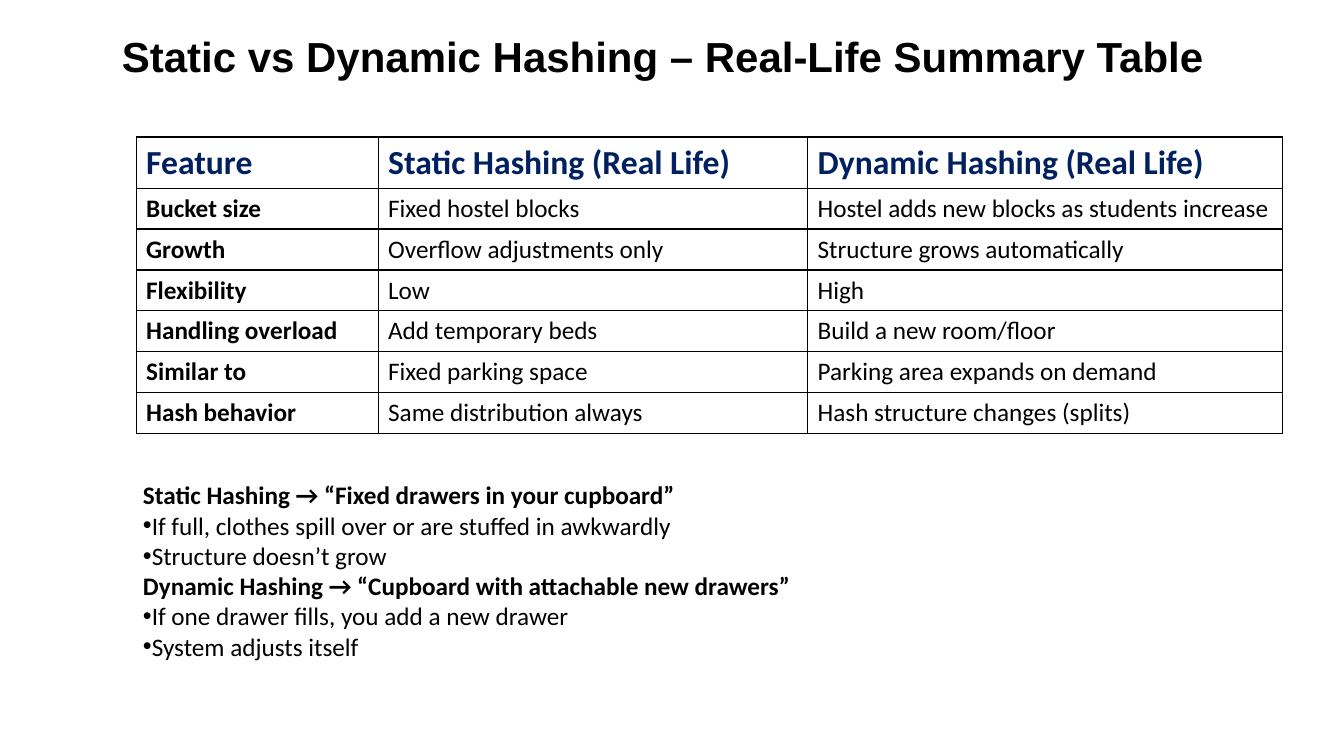
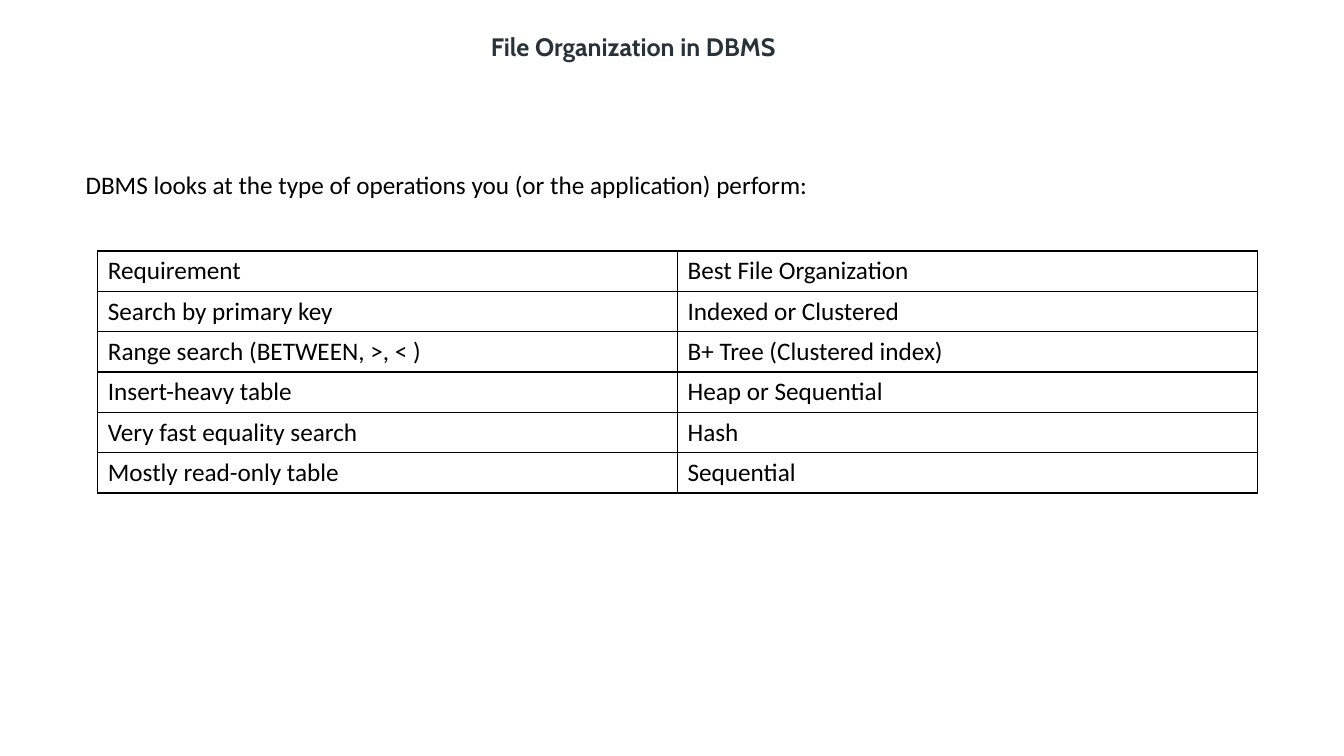
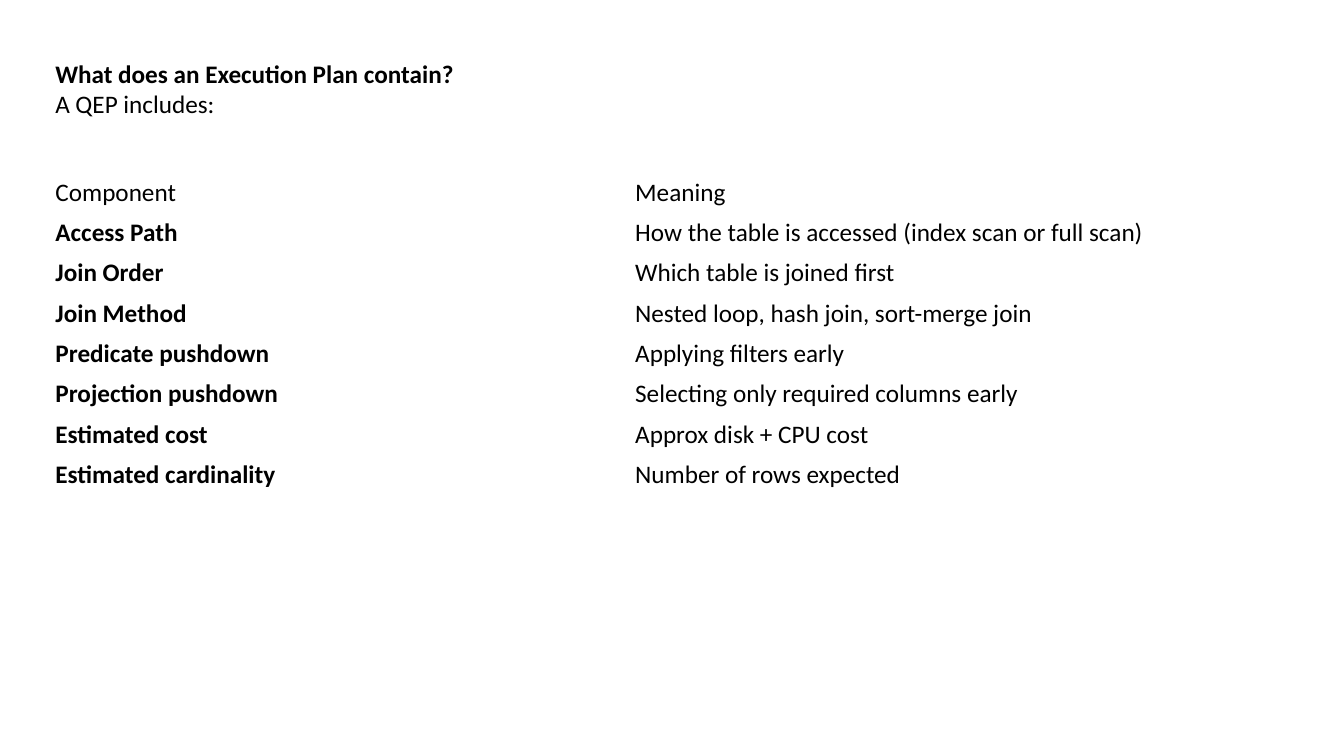
"""Build three slides on hashing, file organization and execution plans."""
from lxml import etree
from pptx import Presentation
from pptx import util as u
from pptx.dml.color import RGBColor
from pptx.enum import text as t
from pptx.oxml import ns

BLACK = RGBColor(0x00, 0x00, 0x00)
NAVY = RGBColor(0x00, 0x20, 0x60)
SLATE = RGBColor(0x27, 0x32, 0x39)


def write(frame, text, size=18, font="Calibri", color=BLACK, bold=False, bullet=False):
    paragraph = frame.paragraphs[0]
    if paragraph.runs:
        paragraph = frame.add_paragraph()
    if bullet:
        properties = paragraph._p.get_or_add_pPr()
        etree.SubElement(properties, ns.qn("a:buFont"), typeface="Arial")
        etree.SubElement(properties, ns.qn("a:buChar"), char="•")
    run = paragraph.add_run()
    run.text = text
    run.font.size = u.Pt(size)
    run.font.name = font
    run.font.color.rgb = color
    run.font.bold = bold


def add_grid(slide, left, top, widths, rows, header_height=0.4, header_format=None,
             bold_labels=False, bordered=True, padding=0.04):
    heights = [header_height] + [0.4] * (len(rows) - 1)
    grid = slide.shapes.add_table(
        len(rows), len(widths), u.Inches(left), u.Inches(top),
        u.Inches(sum(widths)), u.Inches(sum(heights))).table
    grid.first_row = grid.horz_banding = False
    for column, width in zip(grid.columns, widths):
        column.width = u.Inches(width)
    for r, (row, height) in enumerate(zip(rows, heights)):
        grid.rows[r].height = u.Inches(height)
        for c, label in enumerate(row):
            cell = grid.cell(r, c)
            cell.vertical_anchor = t.MSO_ANCHOR.MIDDLE
            cell.margin_top = cell.margin_bottom = u.Inches(padding)
            if r == 0:
                write(cell.text_frame, label, **(header_format or {}))
            else:
                write(cell.text_frame, label, bold=bold_labels and c == 0)
            if bordered:
                for side in ("lnL", "lnR", "lnT", "lnB"):
                    edge = etree.SubElement(cell._tc.get_or_add_tcPr(),
                                            ns.qn(f"a:{side}"), w=str(u.Pt(1)))
                    ink = etree.SubElement(edge, ns.qn("a:solidFill"))
                    etree.SubElement(ink, ns.qn("a:srgbClr"), val=str(BLACK))
            cell.fill.background()


deck = Presentation()
deck.slide_width, deck.slide_height = u.Inches(13.33), u.Inches(7.5)
blank = deck.slide_layouts[6]
hashing, organization, plan = [deck.slides.add_slide(blank) for _ in range(3)]

add_grid(hashing, 1.35, 1.36, [2.4, 4.26, 4.71], [
    ("Feature", "Static Hashing (Real Life)", "Dynamic Hashing (Real Life)"),
    ("Bucket size", "Fixed hostel blocks", "Hostel adds new blocks as students increase"),
    ("Growth", "Overflow adjustments only", "Structure grows automatically"),
    ("Flexibility", "Low", "High"),
    ("Handling overload", "Add temporary beds", "Build a new room/floor"),
    ("Similar to", "Fixed parking space", "Parking area expands on demand"),
    ("Hash behavior", "Same distribution always", "Hash structure changes (splits)"),
], header_height=0.5, header_format=dict(size=24, color=NAVY, bold=True),
    bold_labels=True, padding=0.05)

add_grid(organization, 0.97, 2.49, [5.75, 5.75], [
    ("Requirement", "Best File Organization"),
    ("Search by primary key", "Indexed or Clustered"),
    ("Range search (BETWEEN, >, < )", "B+ Tree (Clustered index)"),
    ("Insert-heavy table", "Heap or Sequential"),
    ("Very fast equality search", "Hash"),
    ("Mostly read-only table", "Sequential"),
])

add_grid(plan, 0.45, 1.71, [5.75, 5.75], [
    ("Component", "Meaning"),
    ("Access Path", "How the table is accessed (index scan or full scan)"),
    ("Join Order", "Which table is joined first"),
    ("Join Method", "Nested loop, hash join, sort-merge join"),
    ("Predicate pushdown", "Applying filters early"),
    ("Projection pushdown", "Selecting only required columns early"),
    ("Estimated cost", "Approx disk + CPU cost"),
    ("Estimated cardinality", "Number of rows expected"),
], bold_labels=True, bordered=False)

heading = dict(bold=True)
point = dict(bullet=True)
passages = [
    (hashing, (1.11, 0.25, 12.22, 0.6), [
        ("Static vs Dynamic Hashing – Real-Life Summary Table",
         dict(size=30, font="Arial", bold=True))]),
    (hashing, (1.32, 4.71, 9.46, 1.92), [
        ("Static Hashing → “Fixed drawers in your cupboard”", heading),
        ("If full, clothes spill over or are stuffed in awkwardly", point),
        ("Structure doesn’t grow", point),
        ("Dynamic Hashing → “Cupboard with attachable new drawers”", heading),
        ("If one drawer fills, you add a new drawer", point),
        ("System adjusts itself", point)]),
    (organization, (4.77, 0.26, 3.36, 0.4), [
        ("File Organization in DBMS", dict(font="Cabin", color=SLATE, bold=True))]),
    (organization, (0.75, 1.63, 10.71, 1.01), [
        ("DBMS looks at the type of operations you (or the application) perform:", {})]),
    (plan, (0.45, 0.53, 6.67, 0.71), [
        ("What does an Execution Plan contain?", heading),
        ("A QEP includes:", {})]),
]
for slide, place, lines in passages:
    frame = slide.shapes.add_textbox(*map(u.Inches, place)).text_frame
    frame.word_wrap = True
    for line, style in lines:
        write(frame, line, **style)

deck.save("out.pptx")
